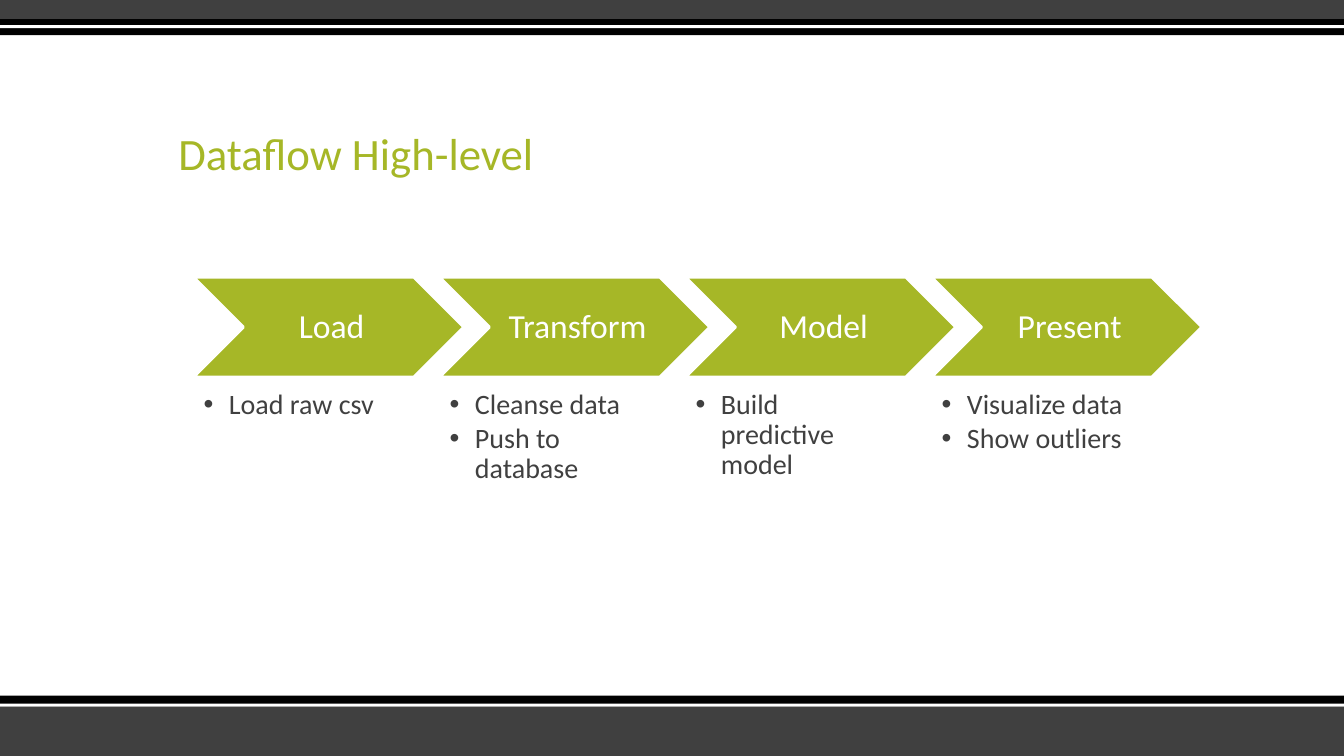
from dataclasses import dataclass

from lxml.etree import SubElement
from pptx import Presentation
from pptx.dml.color import RGBColor
from pptx.enum.shapes import MSO_SHAPE
from pptx.enum.text import MSO_ANCHOR, PP_ALIGN
from pptx.oxml.ns import qn
from pptx.util import Inches, Pt


@dataclass(frozen=True)
class Theme:
    font: str = "Calibri"
    green: RGBColor = RGBColor(0xA6, 0xB7, 0x27)
    gray: RGBColor = RGBColor(0x40, 0x40, 0x40)
    black: RGBColor = RGBColor(0, 0, 0)
    white: RGBColor = RGBColor(0xFF, 0xFF, 0xFF)
    title_size: int = 32
    step_size: int = 24
    bullet_size: int = 20


THEME = Theme()
SLIDE_W, SLIDE_H = 13.33, 7.5

BANDS = [  # top, height, colour
    (7, 0.5, THEME.gray),
    (6.9, 0.11, THEME.black),
    (6.98, 0.03, THEME.white),
    (0, 0.19, THEME.gray),
    (0.19, 0.16, THEME.black),
    (0.25, 0.03, THEME.white),
]

STEPS = [
    ("Load", ["Load raw csv"]),
    ("Transform", ["Cleanse data", "Push to database"]),
    ("Model", ["Build predictive model"]),
    ("Present", ["Visualize data", "Show outliers"]),
]
STEP_LEFT, STEP_TOP, STEP_PITCH = 1.92, 2.75, 2.44
STEP_W, STEP_H = 2.68, 0.99
BULLETS_DX, BULLETS_TOP = 0.1, 3.87


def set_insets(tf, left, top, right, bottom):
    tf.margin_left, tf.margin_top = Inches(left), Inches(top)
    tf.margin_right, tf.margin_bottom = Inches(right), Inches(bottom)


def format_paragraph(p, size, color, align=PP_ALIGN.LEFT):
    p.alignment = align
    p.line_spacing = 0.9
    for r in p.runs:
        r.font.name = THEME.font
        r.font.size = Pt(size)
        r.font.color.rgb = color


def add_bullet(p, indent):
    pPr = p._p.get_or_add_pPr()
    pPr.set("marL", str(Inches(indent)))
    pPr.set("indent", str(-Inches(indent)))
    SubElement(pPr, qn("a:buFont"), typeface="Arial")
    SubElement(pPr, qn("a:buChar"), char="•")


def add_filled(slide, kind, left, top, width, height, color):
    sp = slide.shapes.add_shape(
        kind, Inches(left), Inches(top), Inches(width), Inches(height))
    sp.shadow.inherit = False
    sp.fill.solid()
    sp.fill.fore_color.rgb = color
    sp.line.fill.background()
    return sp


def add_text_box(slide, left, top, width, height):
    sp = slide.shapes.add_textbox(
        Inches(left), Inches(top), Inches(width), Inches(height))
    sp.text_frame.word_wrap = True
    return sp.text_frame


def add_title(slide, text):
    tf = add_text_box(slide, 1.67, 0.67, 10, 1.17)
    tf.vertical_anchor = MSO_ANCHOR.BOTTOM
    tf.text = text
    format_paragraph(tf.paragraphs[0], THEME.title_size, THEME.green)


def add_step(slide, left, name):
    sp = add_filled(slide, MSO_SHAPE.CHEVRON, left, STEP_TOP, STEP_W, STEP_H,
                    THEME.green)
    sp.line.color.rgb = THEME.white
    sp.line.width = Pt(2)
    tf = sp.text_frame
    tf.word_wrap = True
    tf.vertical_anchor = MSO_ANCHOR.MIDDLE
    set_insets(tf, 0.1, 0.04, 0.04, 0.04)
    tf.text = name
    format_paragraph(tf.paragraphs[0], THEME.step_size, THEME.white,
                     PP_ALIGN.CENTER)


def add_bullets(slide, left, items):
    tf = add_text_box(slide, left, BULLETS_TOP, 1.98, 1.05)
    set_insets(tf, 0, 0, 0, 0)
    tf.text = "\n".join(items)
    for p in tf.paragraphs:
        format_paragraph(p, THEME.bullet_size, THEME.gray)
        p.space_after = Pt(3)
        add_bullet(p, 0.25)


def main():
    prs = Presentation()
    prs.slide_width, prs.slide_height = Inches(SLIDE_W), Inches(SLIDE_H)
    slide = prs.slides.add_slide(prs.slide_layouts[6])

    for top, height, color in BANDS:
        add_filled(slide, MSO_SHAPE.RECTANGLE, 0, top, SLIDE_W, height, color)
    add_title(slide, "Dataflow High-level")
    for i, (name, items) in enumerate(STEPS):
        left = STEP_LEFT + i * STEP_PITCH
        add_step(slide, left, name)
        add_bullets(slide, left + BULLETS_DX, items)

    prs.save("out.pptx")


if __name__ == "__main__":
    main()
